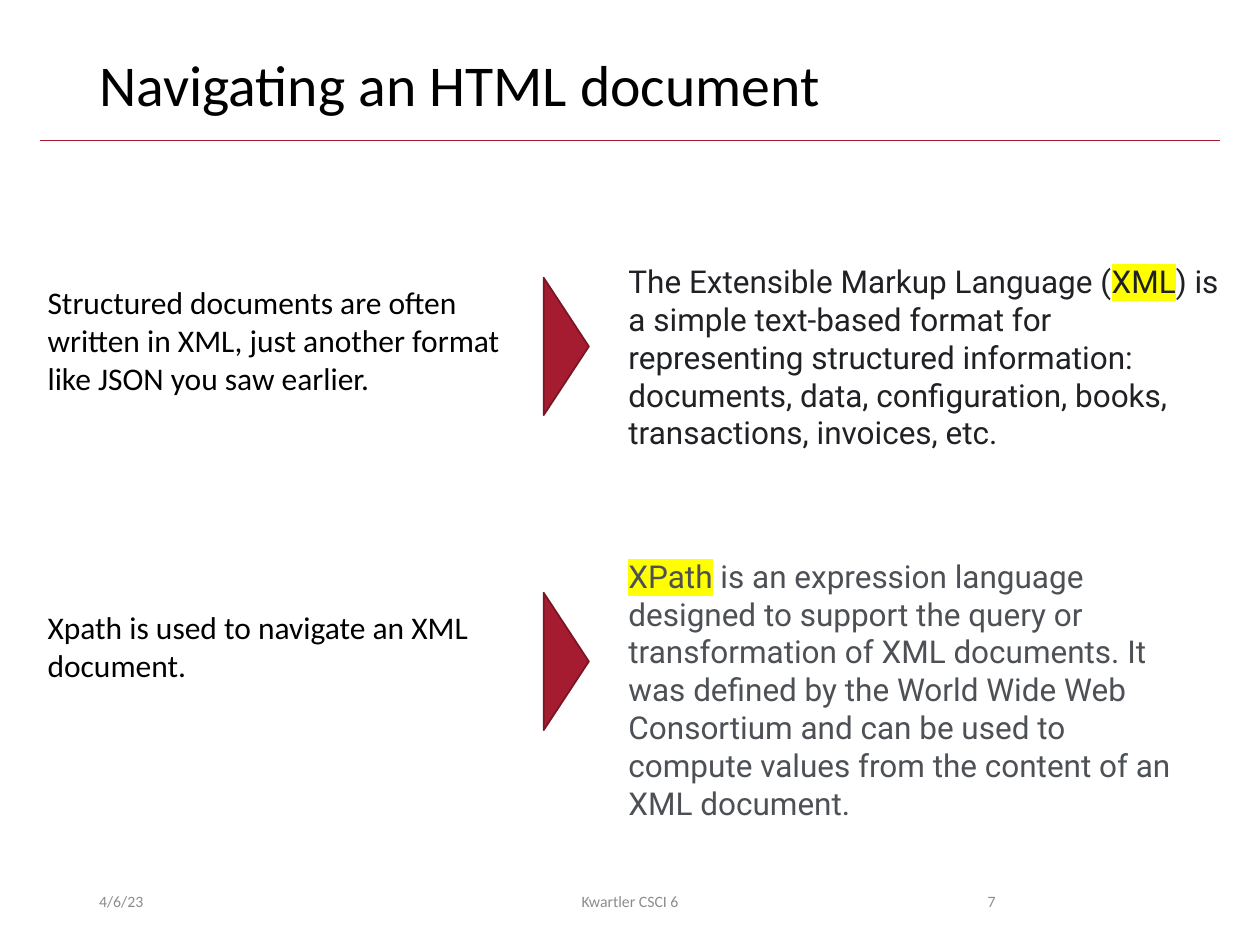
from dataclasses import dataclass

from lxml import etree
from pptx import Presentation
from pptx.dml.color import RGBColor
from pptx.enum.shapes import MSO_CONNECTOR, MSO_SHAPE
from pptx.enum.text import MSO_ANCHOR, PP_ALIGN
from pptx.oxml.ns import qn
from pptx.slide import Slide
from pptx.text.text import TextFrame
from pptx.util import Cm, Pt

STRAIGHT = MSO_CONNECTOR.STRAIGHT
TRIANGLE = MSO_SHAPE.ISOSCELES_TRIANGLE
TOP, MIDDLE = MSO_ANCHOR.TOP, MSO_ANCHOR.MIDDLE
LEFT, CENTER, RIGHT = PP_ALIGN.LEFT, PP_ALIGN.CENTER, PP_ALIGN.RIGHT

BLACK = RGBColor(0x00, 0x00, 0x00)
CRIMSON = RGBColor(0xA5, 0x1C, 0x30)
DARK_CRIMSON = RGBColor(0x7A, 0x15, 0x24)
FOOTER_GRAY = RGBColor(0x8C, 0x8C, 0x8C)
XML_GRAY = RGBColor(0x20, 0x21, 0x24)
XPATH_GRAY = RGBColor(0x4D, 0x51, 0x56)
HIGHLIGHT = RGBColor(0xFF, 0xFF, 0x00)


@dataclass(frozen=True)
class Box:
    left: float
    top: float
    width: float
    height: float

    def emu(self) -> tuple[Cm, Cm, Cm, Cm]:
        return Cm(self.left), Cm(self.top), Cm(self.width), Cm(self.height)


@dataclass(frozen=True)
class Passage:
    box: Box
    runs: tuple[str, ...]
    color: RGBColor = BLACK
    font: str = "Calibri"
    size: int = 18
    align: PP_ALIGN = LEFT
    anchor: MSO_ANCHOR = TOP
    marked: str = ""


@dataclass(frozen=True)
class Topic:
    statement: Passage
    definition: Passage


TITLE_BOX = Box(1.75, 1.02, 21.9, 1.65)
ARROW_BOX = Box(10.03, 6.53, 2.77, 0.91)
TOPIC_PITCH = 6.35

TOPICS = (
    Topic(
        Passage(Box(0.71, 5.59, 9.73, 2.57), (
            "Structured documents are often written in XML, just another "
            "format like JSON you saw earlier.",)),
        Passage(Box(12.42, 5.16, 12.7, 4.11), (
            "The Extensible Markup Language (", "XML",
            ") is a simple text-based format for representing structured "
            "information: documents, data, configuration, books, "
            "transactions, invoices, etc."),
            XML_GRAY, "Roboto", marked="XML"),
    ),
    Topic(
        Passage(Box(0.71, 12.14, 9.73, 1.8), (
            "Xpath is used to navigate an XML document.",)),
        Passage(Box(12.42, 11.1, 11.58, 5.64), (
            "XPath",
            " is an expression language designed to support the query or "
            "transformation of XML documents. It was defined by the World "
            "Wide Web Consortium and can be used to compute values from the "
            "content of an XML document."),
            XPATH_GRAY, "Roboto", marked="XPath"),
    ),
)

FOOTERS = tuple(
    Passage(Box(left, 17.65, width, 1.02), (text,), FOOTER_GRAY,
            size=9, align=align, anchor=MIDDLE)
    for left, width, text, align in (
        (1.75, 5.72, "4/6/23", LEFT),
        (8.41, 8.58, "Kwartler CSCI 6", CENTER),
        (17.93, 2.39, "7", RIGHT),
    )
)


def write_passage(frame: TextFrame, passage: Passage) -> None:
    frame.word_wrap = True
    frame.vertical_anchor = passage.anchor
    paragraph = frame.paragraphs[0]
    paragraph.alignment = passage.align
    paragraph.font.name = passage.font
    paragraph.font.size = Pt(passage.size)
    paragraph.font.color.rgb = passage.color
    for text in passage.runs:
        run = paragraph.add_run()
        run.text = text
        if text == passage.marked:
            properties = run.font._element
            highlight = etree.SubElement(properties, qn("a:highlight"))
            etree.SubElement(highlight, qn("a:srgbClr"), val=str(HIGHLIGHT))


def add_passage(slide: Slide, passage: Passage) -> None:
    textbox = slide.shapes.add_textbox(*passage.box.emu())
    write_passage(textbox.text_frame, passage)


def add_title(slide: Slide, passage: Passage) -> None:
    title = slide.shapes.title
    title.left, title.top, title.width, title.height = passage.box.emu()
    write_passage(title.text_frame, passage)
    title.text_frame.paragraphs[0].line_spacing = 0.9


def add_rule(slide: Slide) -> None:
    rule = slide.shapes.add_connector(
        STRAIGHT, Cm(0.81), Cm(2.84), Cm(24.59), Cm(2.84))
    rule.line.color.rgb = CRIMSON
    rule.line.width = Pt(0.5)
    etree.SubElement(rule._element.spPr, qn("a:effectLst"))


def add_arrow(slide: Slide, row: int) -> None:
    arrow = slide.shapes.add_shape(TRIANGLE, *ARROW_BOX.emu())
    arrow.top = Cm(ARROW_BOX.top + row * TOPIC_PITCH)
    arrow.rotation = 90
    arrow.shadow.inherit = False
    arrow.fill.solid()
    arrow.fill.fore_color.rgb = CRIMSON
    arrow.line.color.rgb = DARK_CRIMSON
    arrow.line.width = Pt(1)


def main() -> None:
    presentation = Presentation()
    presentation.slide_width = Cm(25.4)
    presentation.slide_height = Cm(19.05)
    slide = presentation.slides.add_slide(presentation.slide_layouts[5])

    add_rule(slide)
    add_title(slide, Passage(
        TITLE_BOX, ("Navigating an HTML document",), size=33))
    for footer in FOOTERS:
        add_passage(slide, footer)
    for row, topic in enumerate(TOPICS):
        add_passage(slide, topic.statement)
        add_passage(slide, topic.definition)
        add_arrow(slide, row)

    presentation.save("out.pptx")


if __name__ == "__main__":
    main()
